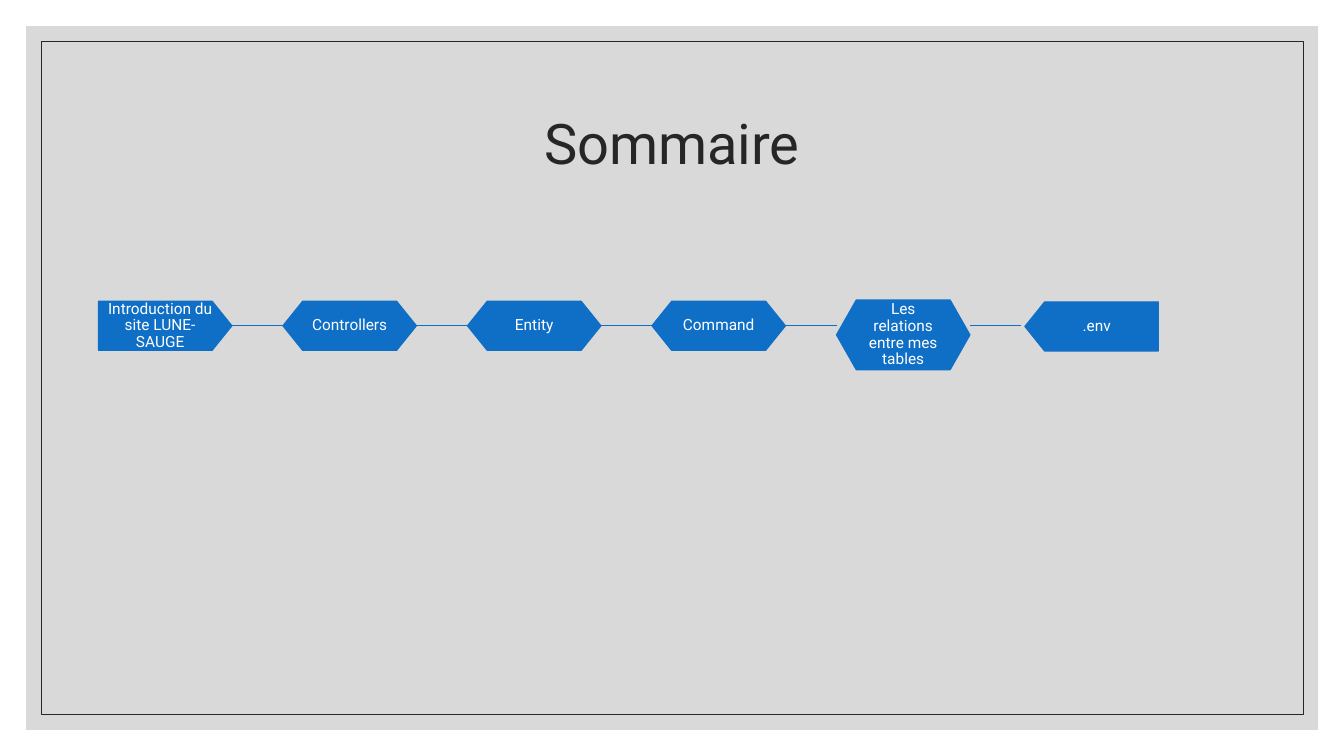
import pptx
import pptx.util
import pptx.dml.color
import pptx.enum.shapes
import pptx.enum.text
import pptx.oxml

Pt = pptx.util.Pt
BLUE, DARK, GREY, WHITE = "0F6FC6", "262626", "D9D9D9", "FFFFFF"
FONT = "Roboto"

STEPS = ["Introduction du site LUNE-SAUGE", "Controllers", "Entity", "Command",
         "Les relations entre mes tables", ".env"]
STEP_WIDTH, STEP_HEIGHT, TALL_HEIGHT = 95.2, 35, 49.6
GAP, POINT_DEPTH = 36.6, 14.1
LAST_SHIFT = 2.8


def colour(hex_string):
    return pptx.dml.color.RGBColor.from_string(hex_string)


def set_values(target, values):
    for name, value in values.items():
        setattr(target, name, value)


def paint(shape, fill=None, line=None, width=1):
    if fill:
        shape.fill.solid()
        shape.fill.fore_color.rgb = colour(fill)
    else:
        shape.fill.background()
    if line:
        shape.line.color.rgb = colour(line)
        shape.line.width = Pt(width)
    else:
        shape.line.fill.background()
    shape.shadow.inherit = False


def write(shape, text, size, text_colour, insets, space_after=0):
    frame = shape.text_frame
    sides = ("margin_left", "margin_top", "margin_right", "margin_bottom")
    set_values(frame, {"word_wrap": True,
                       "auto_size": pptx.enum.text.MSO_AUTO_SIZE.NONE,
                       "vertical_anchor": pptx.enum.text.MSO_ANCHOR.MIDDLE})
    set_values(frame, {side: Pt(inset) for side, inset in zip(sides, insets)})
    para = frame.paragraphs[0]
    set_values(para, {"alignment": pptx.enum.text.PP_ALIGN.CENTER, "line_spacing": 0.9,
                      "space_before": Pt(0), "space_after": Pt(space_after)})
    span = para.add_run()
    span.text = text
    set_values(span.font, {"name": FONT, "size": Pt(size)})
    span.font.color.rgb = colour(text_colour)


def add_frame(page, left, top, width, height):
    """Grey panel with a thin border set inside it."""
    for inset, fill, line in ((0, GREY, None), (10.8, None, DARK)):
        panel = page.shapes.add_shape(
            pptx.enum.shapes.MSO_SHAPE.RECTANGLE, Pt(left + inset), Pt(top + inset),
            Pt(width - 2 * inset), Pt(height - 2 * inset))
        paint(panel, fill, line, 0.5)


def add_title(page, left, top, width, height, text):
    title = page.shapes.title
    set_values(title, {"left": Pt(left), "top": Pt(top),
                       "width": Pt(width), "height": Pt(height)})
    write(title, text, 40, DARK, (7.2, 3.6, 7.2, 3.6))
    # Bring the title in front of the frame
    page.shapes._spTree.append(title._element)


def add_step(page, left, top, height, text, left_point, right_point):
    """Block with a point on either or both sides."""
    right, bottom, middle = left + STEP_WIDTH, top + height, top + height / 2
    inner_left = left + POINT_DEPTH * left_point
    inner_right = right - POINT_DEPTH * right_point
    corners = [(inner_left, top), (inner_right, top)]
    corners += [(right, middle)] if right_point else []
    corners += [(inner_right, bottom), (inner_left, bottom)]
    corners += [(left, middle)] if left_point else []
    points = [(Pt(x), Pt(y)) for x, y in corners]
    builder = page.shapes.build_freeform(*points[0])
    builder.add_line_segments(points[1:], close=True)
    block = builder.convert_to_shape()
    paint(block, BLUE, BLUE)
    if left_point and right_point:
        insets = (19.4, 11.5, 19.4, 11.5)
    else:
        insets = (13.7 if left_point else 6.5, 6.5, 13.7 if right_point else 6.5, 6.5)
    write(block, text, 11, WHITE, insets, space_after=5)


def add_link(page, left, y):
    link = page.shapes.add_connector(pptx.enum.shapes.MSO_CONNECTOR.STRAIGHT,
                                     Pt(left), Pt(y), Pt(left + GAP), Pt(y))
    link.line.color.rgb = colour(BLUE)
    link.line.width = Pt(1)
    link._element.spPr.append(pptx.oxml.parse_xml(
        '<a:effectLst xmlns:a="http://schemas.openxmlformats.org/drawingml/2006/main"/>'))


def add_chain(page, left, top):
    """Row of steps joined by short lines."""
    last = len(STEPS) - 1
    for index, text in enumerate(STEPS):
        x = left + index * (STEP_WIDTH + GAP)
        if index < last:
            add_link(page, x + STEP_WIDTH, top + STEP_HEIGHT / 2)
        tall = text.startswith("Les relations")
        add_step(page, x + (LAST_SHIFT if index == last else 0),
                 top - 0.8 if tall else top + (0.5 if index == last else 0),
                 TALL_HEIGHT if tall else STEP_HEIGHT,
                 text, index > 0, index < last)


def main():
    deck = pptx.Presentation()
    set_values(deck, {"slide_width": Pt(960), "slide_height": Pt(540)})
    page = deck.slides.add_slide(deck.slide_layouts.get_by_name("Title Only"))
    add_frame(page, 18.7, 18.7, 922.8, 502.6)
    add_title(page, 84, 50.4, 792, 108, "Sommaire")
    add_chain(page, 70.4, 215.2)
    deck.save("out.pptx")


if __name__ == "__main__":
    main()
